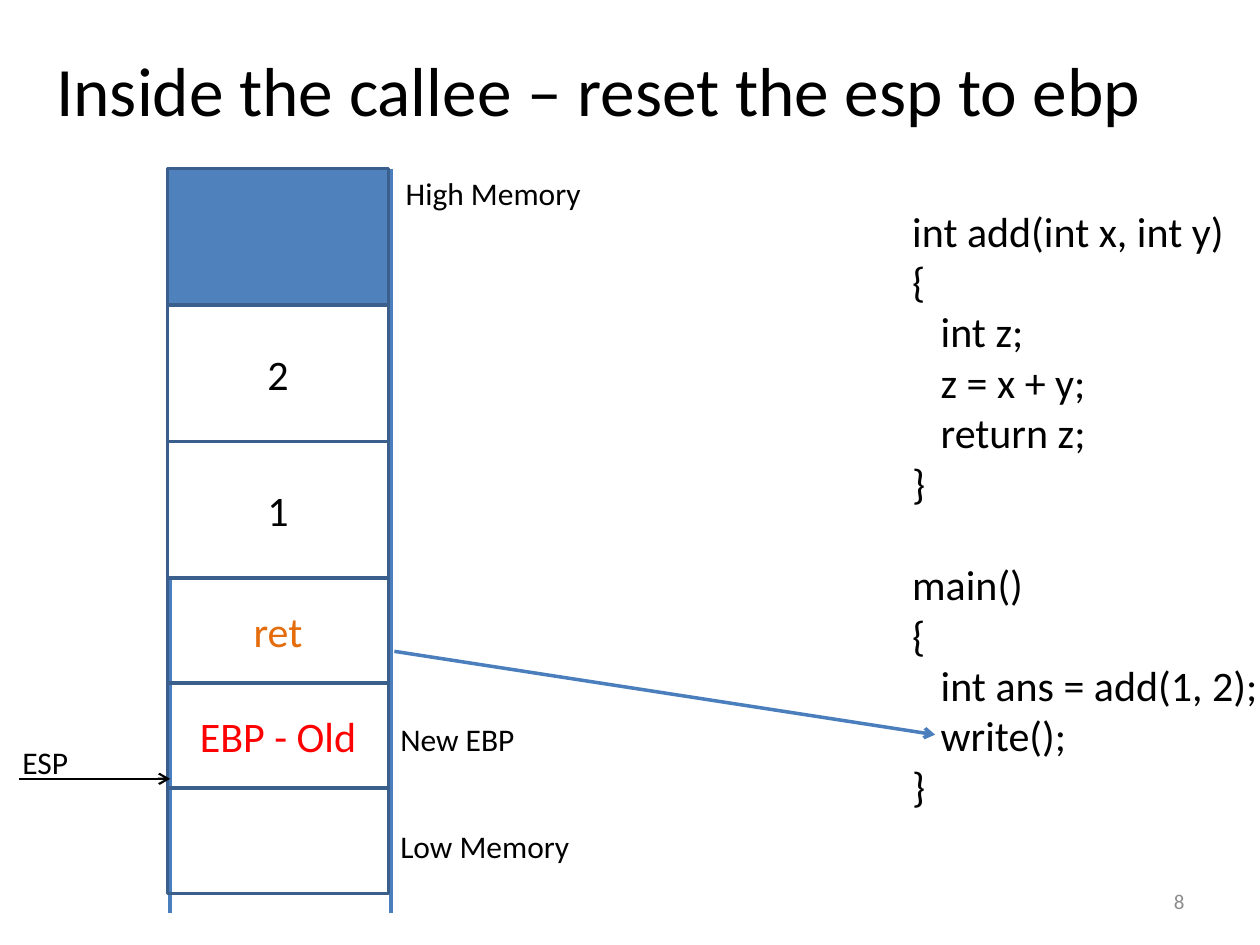
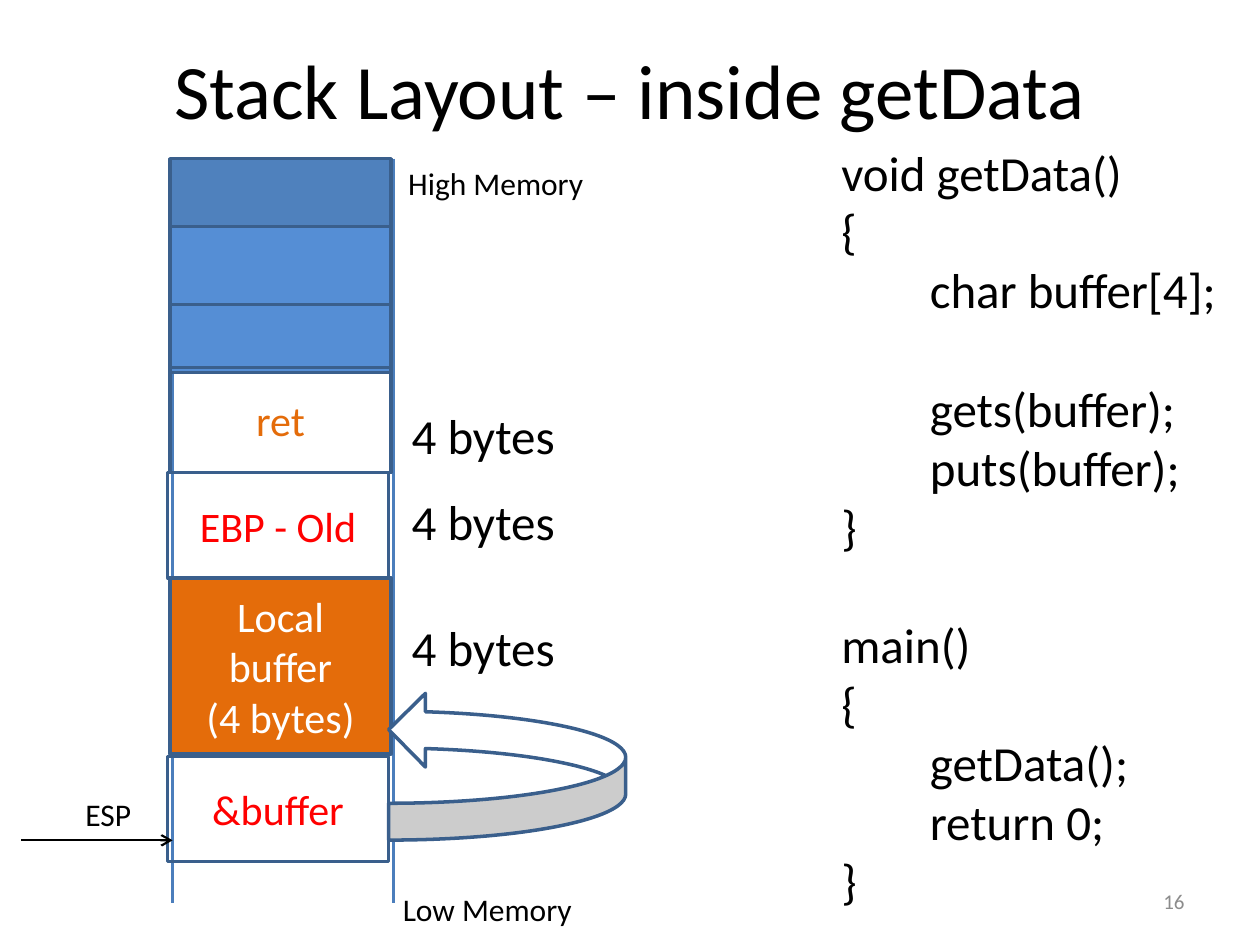
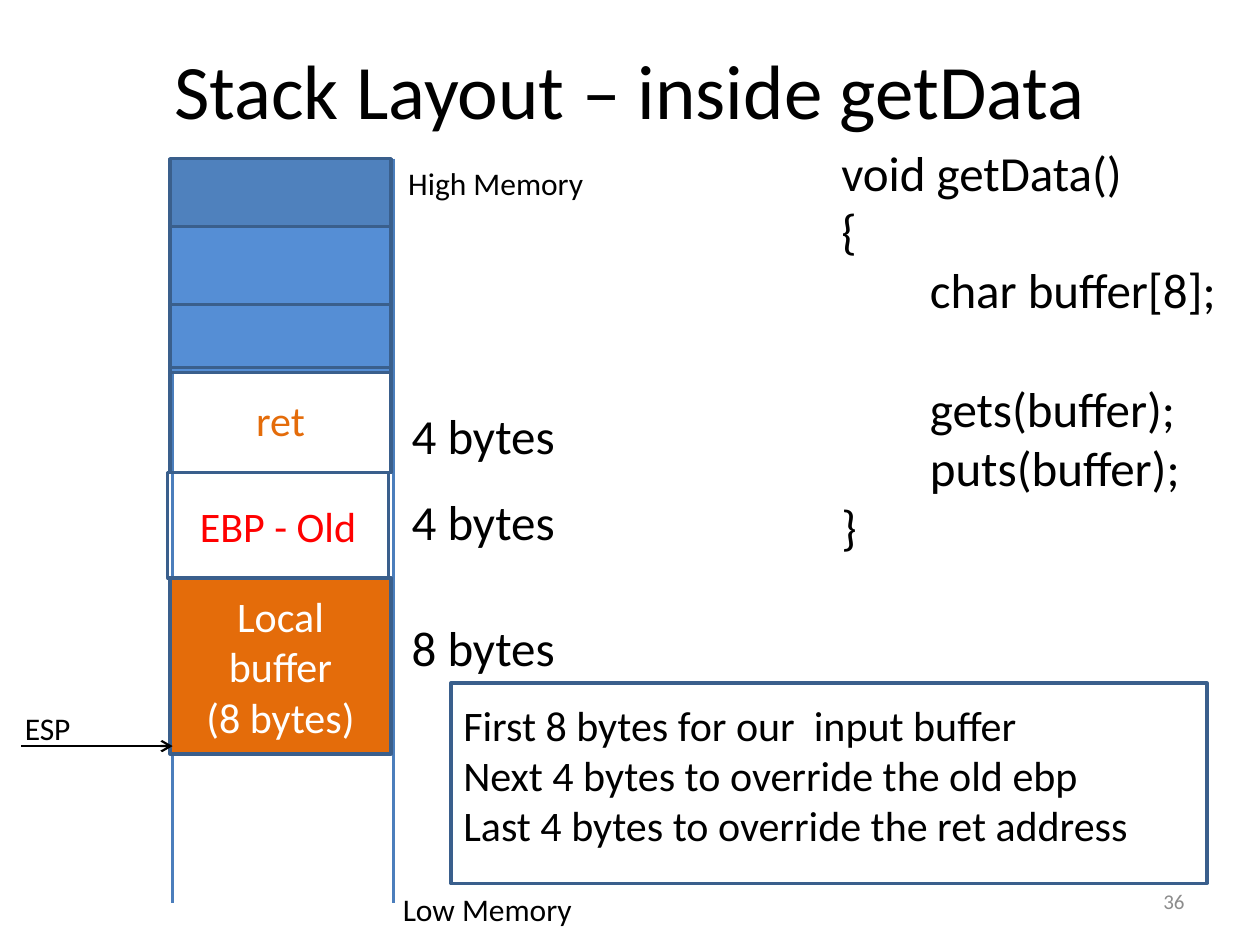
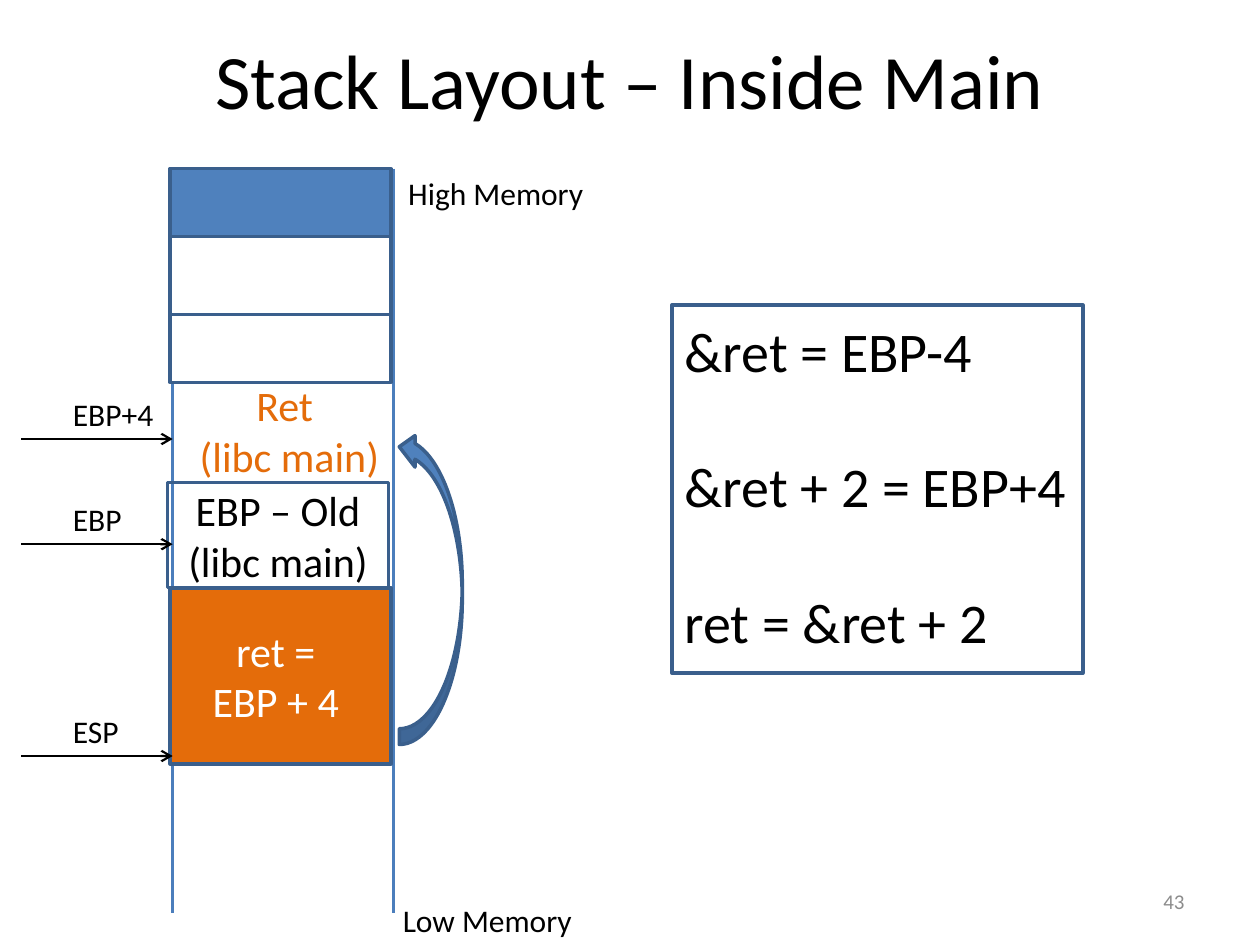
from dataclasses import dataclass
from typing import Optional, Sequence

from lxml.etree import SubElement
from pptx import Presentation
from pptx.dml.color import RGBColor
from pptx.enum.shapes import MSO_CONNECTOR, MSO_SHAPE
from pptx.enum.text import MSO_ANCHOR, MSO_AUTO_SIZE, PP_ALIGN
from pptx.oxml.ns import qn
from pptx.shapes.autoshape import Shape
from pptx.slide import Slide
from pptx.text.text import TextFrame
from pptx.util import Cm, Pt

# Shared look
FONT = "Calibri"
BLACK = RGBColor(0x00, 0x00, 0x00)
WHITE = RGBColor(0xFF, 0xFF, 0xFF)
RED = RGBColor(0xFF, 0x00, 0x00)
ORANGE = RGBColor(0xE4, 0x6C, 0x0A)
BLUE = RGBColor(0x4F, 0x81, 0xBD)
LIGHT_BLUE = RGBColor(0x55, 0x8E, 0xD5)
RAIL_BLUE = RGBColor(0x4B, 0x7E, 0xBC)
OUTLINE = RGBColor(0x3A, 0x5F, 0x8C)
GREY = RGBColor(0x8C, 0x8C, 0x8C)

TITLE_SIZE, CELL_SIZE, LABEL_SIZE, NUMBER_SIZE = 44, 24, 18, 12
LINE_HEIGHT = 1.22      # of the font size
SPACE_WIDTH = 0.226     # of the font size
POINTS_PER_CM = 28.35

# Stack geometry in centimetres
CELL_WIDTH = 4.45
RAIL_SHIFT = 0.05
RAIL_LENGTH = 15.0
SHORT, MEDIUM, NORMAL, LARGE, TALL = 1.37, 1.57, 2.12, 2.75, 3.55


@dataclass(frozen=True)
class Box:
    left: float
    top: float
    width: float
    height: float


@dataclass(frozen=True)
class Cell:
    """One slot of the memory stack; gap and shift move it off the grid."""
    height: float
    lines: Sequence[str] = ()
    colour: RGBColor = BLACK
    fill: Optional[RGBColor] = None
    gap: float = 0
    shift: float = 0
    outlined: bool = True


@dataclass(frozen=True)
class Pointer:
    """A register label over an arrow that points at the stack."""
    name: str
    width: float
    label_left: float
    label_top: float
    arrow_top: float


# Text
def write_lines(frame: TextFrame, lines: Sequence[str], size: float, colour: RGBColor,
                align: PP_ALIGN = PP_ALIGN.LEFT, indent_spaces: int = 0) -> None:
    """Tabs indent a line; an empty line becomes space before the next one."""
    frame.text = "\n".join(line.lstrip("\t") for line in lines if line)
    blanks = 0
    paragraphs = iter(frame.paragraphs)
    for line in lines:
        if not line:
            blanks += 1
            continue
        paragraph = next(paragraphs)
        paragraph.alignment = align
        if blanks:
            paragraph.space_before = Pt(round(blanks * size * LINE_HEIGHT, 1))
            blanks = 0
        if line.startswith("\t"):
            indent = Cm(indent_spaces * SPACE_WIDTH * size / POINTS_PER_CM)
            paragraph._p.get_or_add_pPr().set("marL", str(indent))
        for run in paragraph.runs:
            run.font.name = FONT
            run.font.size = Pt(size)
            run.font.color.rgb = colour


def add_text(slide: Slide, box: Box, lines: Sequence[str], size: float,
             indent_spaces: int = 0) -> None:
    text_box = slide.shapes.add_textbox(Cm(box.left), Cm(box.top), Cm(box.width), Cm(box.height))
    frame = text_box.text_frame
    frame.word_wrap = False
    frame.auto_size = MSO_AUTO_SIZE.SHAPE_TO_FIT_TEXT
    write_lines(frame, lines, size, BLACK, indent_spaces=indent_spaces)


def add_fixed_text(slide: Slide, box: Box, text: str, size: float, colour: RGBColor,
                   align: PP_ALIGN) -> None:
    text_box = slide.shapes.add_textbox(Cm(box.left), Cm(box.top), Cm(box.width), Cm(box.height))
    frame = text_box.text_frame
    frame.word_wrap = True
    frame.vertical_anchor = MSO_ANCHOR.MIDDLE
    write_lines(frame, [text], size, colour, align)


# Shapes and lines
def add_outlined(slide: Slide, kind: MSO_SHAPE, box: Box, fill: Optional[RGBColor] = None,
                 outlined: bool = True) -> Shape:
    shape = slide.shapes.add_shape(kind, Cm(box.left), Cm(box.top), Cm(box.width), Cm(box.height))
    shape.shadow.inherit = False
    if fill is None:
        shape.fill.background()
    else:
        shape.fill.solid()
        shape.fill.fore_color.rgb = fill
    if outlined:
        shape.line.color.rgb = OUTLINE
        shape.line.width = Pt(2)
    else:
        shape.line.fill.background()
    return shape


def add_line(slide: Slide, start: tuple[float, float], end: tuple[float, float],
             colour: RGBColor = RAIL_BLUE, width: float = 2, arrow: bool = False) -> None:
    line = slide.shapes.add_connector(MSO_CONNECTOR.STRAIGHT, Cm(start[0]), Cm(start[1]),
                                      Cm(end[0]), Cm(end[1]))
    line.line.color.rgb = colour
    line.line.width = Pt(width)
    if arrow:
        SubElement(line.line._get_or_add_ln(), qn("a:tailEnd"), type="arrow")
    SubElement(line._element.spPr, qn("a:effectLst"))


# Parts of a stack slide
def add_stack(slide: Slide, left: float, top: float, cells: Sequence[Cell],
              low_label_top: float) -> None:
    for rail in (left + RAIL_SHIFT, left + CELL_WIDTH + RAIL_SHIFT):
        add_line(slide, (rail, top), (rail, top + RAIL_LENGTH))
    add_text(slide, Box(left + 4.55, top - 0.02, 4.09, 1.02), ["High Memory"], LABEL_SIZE)
    add_text(slide, Box(left + 4.44, low_label_top, 3.96, 1.02), ["Low Memory"], LABEL_SIZE)
    for cell in cells:
        top += cell.gap
        box = Box(left + cell.shift, top, CELL_WIDTH, cell.height)
        shape = add_outlined(slide, MSO_SHAPE.RECTANGLE, box, cell.fill, cell.outlined)
        if cell.lines:
            shape.text_frame.vertical_anchor = MSO_ANCHOR.MIDDLE
            write_lines(shape.text_frame, cell.lines, CELL_SIZE, cell.colour, PP_ALIGN.CENTER)
        top += cell.height


def add_pointer(slide: Slide, pointer: Pointer, stack_left: float) -> None:
    tip = stack_left + RAIL_SHIFT
    add_line(slide, (tip - 3.05, pointer.arrow_top), (tip, pointer.arrow_top),
             BLACK, 1.25, arrow=True)
    add_text(slide, Box(pointer.label_left, pointer.label_top, pointer.width, 1.02),
             [pointer.name], LABEL_SIZE)


def add_byte_counts(slide: Slide, counts: Sequence[int]) -> None:
    for count, top in zip(counts, (8.05, 9.78, 12.32)):
        add_text(slide, Box(8.05, top, 3.43, 1.45), [f"{count} bytes"], 28)


def add_slide(title: str, number: int, title_left: float = 1.27, title_top: float = 0.2,
              title_size: float = TITLE_SIZE) -> Slide:
    slide = presentation.slides.add_slide(presentation.slide_layouts[6])
    add_fixed_text(slide, Box(title_left, title_top, 22.86, 3.18), title, title_size, BLACK,
                   PP_ALIGN.CENTER)
    add_fixed_text(slide, Box(18.21, 17.65, 5.92, 1.02), str(number), NUMBER_SIZE, GREY,
                   PP_ALIGN.RIGHT)
    return slide


def get_data_code(size: int) -> list[str]:
    return ["void getData()", "{", f"\tchar buffer[{size}];", "",
            "\tgets(buffer);", "\tputs(buffer);", "}"]


def get_data_cells(size: int) -> list[Cell]:
    return [
        Cell(SHORT, fill=BLUE),
        Cell(MEDIUM, fill=LIGHT_BLUE),
        Cell(SHORT, fill=LIGHT_BLUE),
        Cell(NORMAL, ["ret"], ORANGE, gap=-0.1),
        Cell(NORMAL, ["EBP - Old"], RED, shift=-0.05),
        Cell(TALL, ["Local buffer", f"({size} bytes)"], WHITE, ORANGE),
    ]


presentation = Presentation()
presentation.slide_width = Cm(25.4)
presentation.slide_height = Cm(19.05)
STACK_LEFT = 3.43

# Slide 1: resetting esp
slide = add_slide("Inside the callee – reset the esp to ebp", 8, title_left=0.64, title_size=39.6)
add_stack(slide, 3.38, 3.4, [
    Cell(LARGE, fill=BLUE),
    Cell(LARGE, ["2"], fill=WHITE),
    Cell(LARGE, ["1"], fill=WHITE),
    Cell(NORMAL, ["ret"], ORANGE),
    Cell(NORMAL, ["EBP - Old"], RED),
    Cell(NORMAL),
], low_label_top=16.54)
add_text(slide, Box(18.14, 4.01, 7.52, 12.57), [
    "int add(int x, int y)", "{", "\tint z;", "\tz = x + y;", "\treturn z;", "}", "",
    "main()", "{", "\tint ans = add(1, 2);", "\twrite();", "}",
], 24, indent_spaces=3)
add_line(slide, (7.95, 13.13), (18.85, 14.81), arrow=True)
add_pointer(slide, Pointer("ESP", 1.45, 0.2, 14.86, 15.7), 3.38)
add_text(slide, Box(7.82, 14.4, 2.84, 1.02), ["New EBP"], LABEL_SIZE)

# Slide 2: getData with a buffer of 4 bytes
slide = add_slide("Stack Layout – inside getData", 16)
add_text(slide, Box(16.71, 2.74, 8.18, 15.82), get_data_code(4) + [
    "", "main()", "{", "\tgetData();", "\treturn 0;", "}",
], 28, indent_spaces=8)
add_stack(slide, STACK_LEFT, 3.2, get_data_cells(4) + [
    Cell(NORMAL, ["&buffer"], RED, gap=0.05, shift=-0.05),
], low_label_top=17.81)
add_pointer(slide, Pointer("ESP", 1.45, 1.47, 15.9, 16.94), STACK_LEFT)
add_byte_counts(slide, (4, 4, 4))
buffer_arrow = add_outlined(slide, MSO_SHAPE.CURVED_UP_ARROW, Box(8.74, 13.06, 2.97, 4.78), WHITE)
buffer_arrow.rotation = 270

# Slide 3: getData with a buffer of 8 bytes
slide = add_slide("Stack Layout – inside getData", 36)
add_text(slide, Box(16.71, 2.74, 8.18, 8.64), get_data_code(8), 28, indent_spaces=8)
add_stack(slide, STACK_LEFT, 3.2, get_data_cells(8), low_label_top=17.81)
add_pointer(slide, Pointer("ESP", 1.45, 0.25, 14.17, 15.04), STACK_LEFT)
add_byte_counts(slide, (4, 4, 8))
add_text(slide, Box(9.09, 13.97, 14.05, 3.33), [
    "First 8 bytes for our  input buffer",
    "Next 4 bytes to override the old ebp",
    "Last 4 bytes to override the ret address",
], 24)
add_outlined(slide, MSO_SHAPE.RECTANGLE, Box(9.09, 13.77, 15.24, 4.04))

# Slide 4: inside main
slide = add_slide("Stack Layout – Inside Main", 43, title_top=0)
add_stack(slide, STACK_LEFT, 3.4, [
    Cell(SHORT, fill=BLUE),
    Cell(MEDIUM, fill=WHITE),
    Cell(SHORT, fill=WHITE),
    Cell(NORMAL, ["Ret ", "(libc main)"], ORANGE, gap=-0.1, shift=0.18, outlined=False),
    Cell(NORMAL, ["EBP – Old", "(libc main)"], shift=-0.05),
    Cell(TALL, ["ret = ", "EBP + 4 "], WHITE, ORANGE),
], low_label_top=18.03)
for pointer in (
    Pointer("ESP", 1.45, 1.22, 14.22, 15.24),
    Pointer("EBP", 1.5, 1.22, 9.95, 10.97),
    Pointer("EBP+4", 2.16, 1.22, 7.83, 8.85),
):
    add_pointer(slide, pointer, STACK_LEFT)
add_text(slide, Box(13.55, 6.25, 8.28, 7.09), [
    "&ret = EBP-4", "", "&ret + 2 = EBP+4", "", "ret = &ret + 2",
], 32)
add_outlined(slide, MSO_SHAPE.RECTANGLE, Box(13.55, 6.15, 8.28, 7.42))
return_arrow = add_outlined(slide, MSO_SHAPE.CURVED_LEFT_ARROW, Box(8.05, 8.69, 1.27, 6.32), BLUE)
return_arrow._element.spPr.find(qn("a:xfrm")).set("flipV", "1")

presentation.save("out.pptx")
